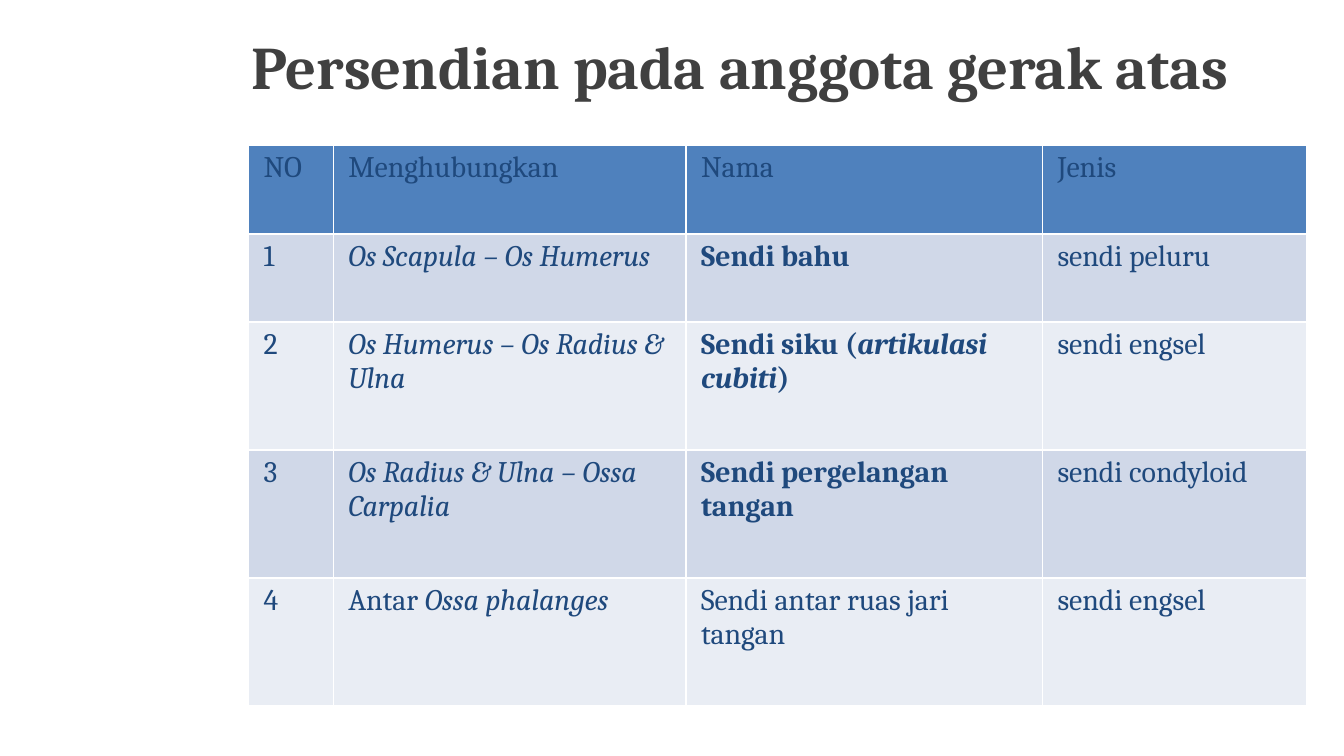
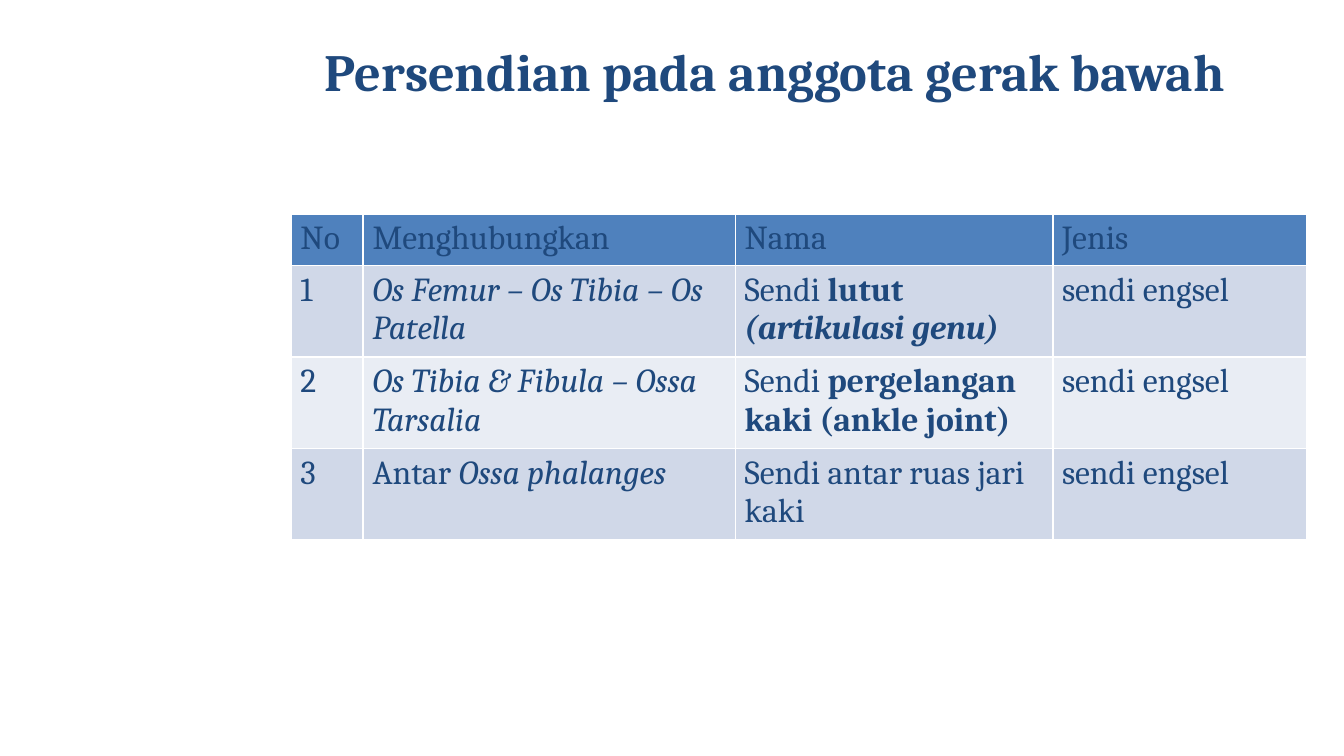
import pptx
import pptx.util
import pptx.dml.color
import pptx.enum.text

Pt = pptx.util.Pt
RGBColor = pptx.dml.color.RGBColor

# Shared style
FONT = "Cambria"
NAVY = RGBColor(0x1F, 0x49, 0x7D)
CHARCOAL = RGBColor(0x40, 0x40, 0x40)
HEADER_FILL = RGBColor(0x4F, 0x81, 0xBD)
BAND_FILLS = [RGBColor(0xE9, 0xED, 0xF4), RGBColor(0xD0, 0xD8, 0xE8)]
TITLE_HEIGHT = 70

# A cell is a plain string, or a list of (text, style) with b = bold, i = italic
pages = [
    {
        "title": "Persendian pada anggota gerak atas",
        "title_at": (127.5, 0, 592.5), "title_size": 32.4, "title_color": CHARCOAL,
        "table_at": (133.2, 78), "size": 16, "side_margin": 8,
        "columns": [45.4, 189, 191, 141.6],
        "rows": [47.3, 47.3, 68.5, 68.5, 68.5],
        "cells": [
            ["NO", "Menghubungkan", "Nama", "Jenis"],
            ["1", [("Os Scapula – Os Humerus", "i")],
             [("Sendi bahu", "b")], "sendi peluru"],
            ["2", [("Os Humerus – Os Radius & Ulna", "i")],
             [("Sendi siku (", "b"), ("artikulasi cubiti", "bi"), (")", "b")],
             "sendi engsel"],
            ["3", [("Os Radius & Ulna – Ossa Carpalia", "i")],
             [("Sendi pergelangan tangan", "b")], "sendi condyloid"],
            ["4", [("Antar ", ""), ("Ossa phalanges", "i")],
             "Sendi antar ruas jari tangan", "sendi engsel"],
        ],
    },
    {
        "title": "Persendian pada anggota gerak bawah",
        "title_at": (167, 3, 607), "title_size": 28, "title_color": NAVY,
        "table_at": (156, 114.8), "size": 18, "side_margin": 5,
        "columns": [38.6, 199.4, 170, 136],
        "rows": [27, 48.7, 48.7, 48.7],
        "cells": [
            ["No", "Menghubungkan", "Nama", "Jenis"],
            ["1", [("Os Femur – Os Tibia – Os Patella", "i")],
             [("Sendi ", ""), ("lutut ", "b"), ("(artikulasi genu)", "bi")],
             "sendi engsel"],
            ["2", [("Os Tibia & Fibula – Ossa Tarsalia", "i")],
             [("Sendi ", ""), ("pergelangan kaki (ankle joint)", "b")],
             "sendi engsel"],
            ["3", [("Antar ", ""), ("Ossa phalanges", "i")],
             "Sendi antar ruas jari kaki", "sendi engsel"],
        ],
    },
]


def write(paragraph, content, size, color):
    """Fill a paragraph with a string or a list of styled spans."""
    paragraph.font.name = FONT
    paragraph.font.size = Pt(size)
    paragraph.font.color.rgb = color
    spans = [(content, "")] if isinstance(content, str) else content
    for text, style in spans:
        span = paragraph.add_run()
        span.text = text
        span.font.bold = "b" in style
        span.font.italic = "i" in style


deck = pptx.Presentation()
deck.slide_width = Pt(720)
deck.slide_height = Pt(405)

for page in pages:
    slide = deck.slides.add_slide(deck.slide_layouts[6])

    # Title
    left, top, width = page["title_at"]
    box = slide.shapes.add_textbox(Pt(left), Pt(top), Pt(width), Pt(TITLE_HEIGHT))
    box.text_frame.word_wrap = True
    box.text_frame.vertical_anchor = pptx.enum.text.MSO_ANCHOR.MIDDLE
    write(box.text_frame.paragraphs[0], [(page["title"], "b")],
          page["title_size"], page["title_color"])

    # Table of joints; the default table style draws the white rules
    left, top = page["table_at"]
    table = slide.shapes.add_table(
        len(page["rows"]), len(page["columns"]), Pt(left), Pt(top),
        Pt(sum(page["columns"])), Pt(sum(page["rows"]))).table
    for column, width in zip(table.columns, page["columns"]):
        column.width = Pt(width)
    for row, height in zip(table.rows, page["rows"]):
        row.height = Pt(height)

    for r, contents in enumerate(page["cells"]):
        for c, content in enumerate(contents):
            cell = table.cell(r, c)
            cell.margin_left = cell.margin_right = Pt(page["side_margin"])
            cell.margin_top = cell.margin_bottom = Pt(2.9)
            cell.fill.solid()
            cell.fill.fore_color.rgb = BAND_FILLS[r % 2] if r else HEADER_FILL
            write(cell.text_frame.paragraphs[0], content, page["size"], NAVY)

deck.save("out.pptx")
